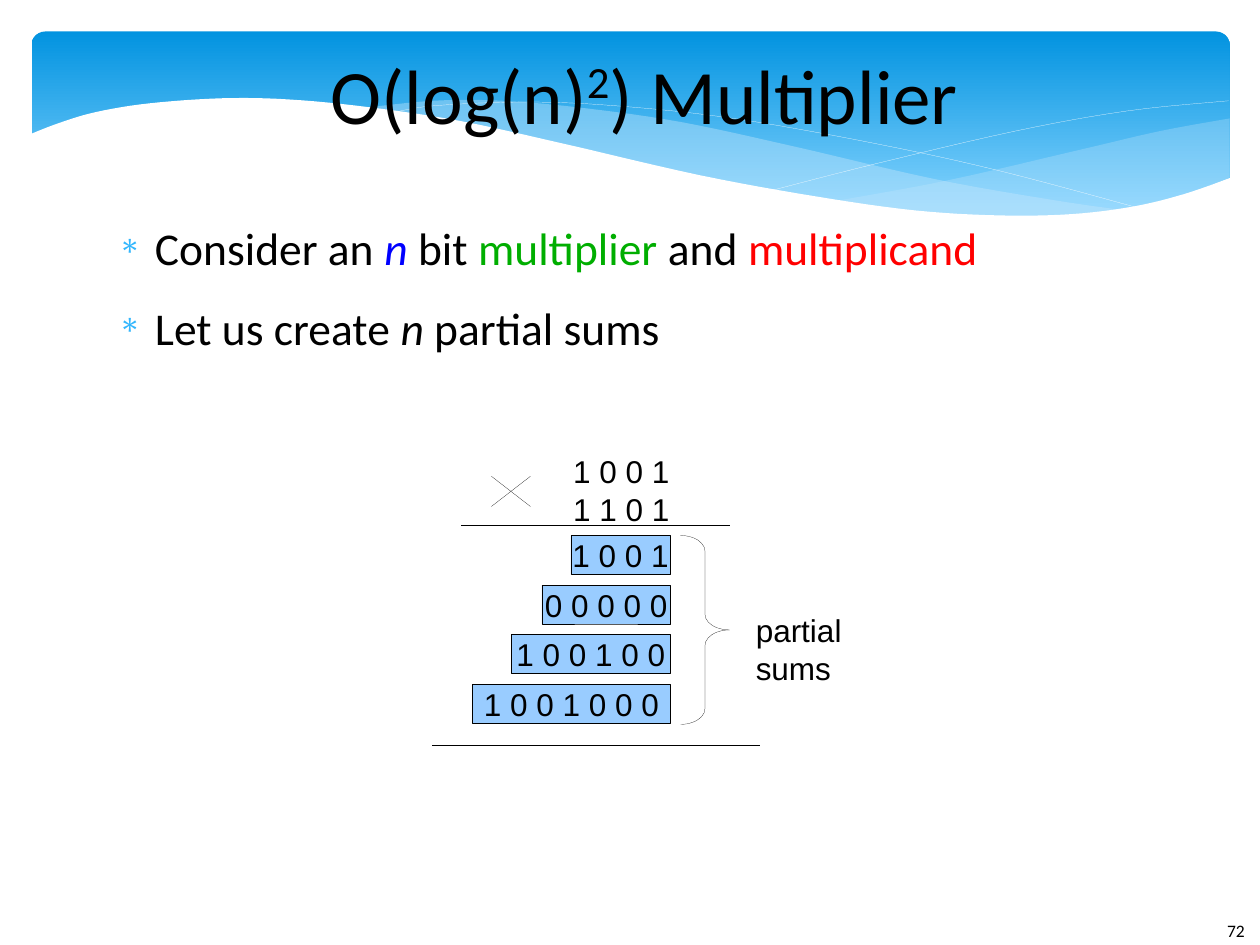
"""Build the O(log(n)²) Multiplier slide with its partial-sum diagram."""
from lxml import etree
from pptx import Presentation
from pptx.dml.color import RGBColor
from pptx.enum.shapes import MSO_CONNECTOR, MSO_SHAPE
from pptx.enum.text import MSO_ANCHOR, PP_ALIGN
from pptx.oxml.ns import qn
from pptx.util import Inches, Pt

STRAIGHT = MSO_CONNECTOR.STRAIGHT
MIDDLE = MSO_ANCHOR.MIDDLE
CENTER = PP_ALIGN.CENTER
HAIRLINE = Pt(0.1)
COLORS = {
    "black": "000000", "white": "FFFFFF", "banner_top": "0293E0",
    "banner_bottom": "83D3FE", "wave": "C6E7FC", "bullet": "31B6FD",
    "blue": "0000FF", "green": "00AE00", "red": "FF0000", "sum": "99CCFF",
}
RGB = {name: RGBColor.from_string(value) for name, value in COLORS.items()}


def smooth(knots, steps=6):
    """Return points on a Catmull-Rom curve through the knots."""
    ends = [knots[0], *knots, knots[-1]]
    points = [knots[0]]
    for a, b, c, d in zip(ends, ends[1:], ends[2:], ends[3:]):
        for step in range(1, steps + 1):
            t = step / steps
            points.append(tuple(
                (2 * q + (r - p) * t + (2 * p - 5 * q + 4 * r - s) * t**2
                 + (3 * q - p - 3 * r + s) * t**3) / 2
                for p, q, r, s in zip(a, b, c, d)))
    return points


def add_text(left, top, width, height, lines, font_name, size):
    """Add a text box with one black paragraph per line and return its frame."""
    frame = slide.shapes.add_textbox(
        Inches(left), Inches(top), Inches(width), Inches(height)).text_frame
    frame.word_wrap = True
    frame.text = "\n".join(lines)
    for paragraph in frame.paragraphs:
        paragraph.font.name = font_name
        paragraph.font.size = Pt(size)
        paragraph.font.color.rgb = RGB["black"]
    return frame


prs = Presentation()
prs.slide_width, prs.slide_height = Inches(10), Inches(7.5)
slide = prs.slides.add_slide(prs.slide_layouts[5])

banner = slide.shapes.add_shape(
    MSO_SHAPE.ROUNDED_RECTANGLE, Inches(0.25), Inches(0.25), Inches(9.51), Inches(1.56))
banner.adjustments[0] = 0.07
banner.shadow.inherit = False
banner.line.fill.background()
banner.fill.gradient()
banner.fill.gradient_angle = 270
for stop, position, color in zip(
        banner.fill.gradient_stops, (0, 0.9), ("banner_top", "banner_bottom")):
    stop.position = position
    stop.color.rgb = RGB[color]

right_wave = smooth([(9.76, 0.94), (9.21, 1.04), (8.61, 1.18), (7.53, 1.43), (6.61, 1.6)])
right_wave += smooth([(6.61, 1.6), (7.19, 1.67), (7.69, 1.71), (8.14, 1.72), (8.63, 1.7),
                      (9.05, 1.63), (9.42, 1.54), (9.76, 1.41)])
middle_wave = smooth([(8.93, 1.67), (8.37, 1.59), (7.41, 1.42), (6.29, 1.16), (5.41, 0.97),
                      (4.65, 0.86), (3.99, 0.8), (3.44, 0.8), (2.86, 0.86)])
middle_wave += smooth([(2.86, 0.86), (3.62, 0.97), (4.49, 1.16), (5.66, 1.43), (6.5, 1.58),
                       (7.22, 1.68), (7.85, 1.72), (8.38, 1.72), (8.93, 1.67)])
falling_line = smooth([(3.09, 0.9), (3.44, 0.84), (4.16, 0.81), (4.89, 0.84), (5.82, 0.94),
                       (6.95, 1.14), (7.95, 1.36), (9.07, 1.66)])
rising_line = smooth([(6.13, 1.51), (6.95, 1.3), (8.06, 1.04), (8.95, 0.88), (9.75, 0.8)])
lower_edge = smooth([(9.77, 1.41), (9.4, 1.54), (8.99, 1.64), (8.5, 1.7), (7.93, 1.71),
                     (7.26, 1.67), (6.48, 1.56), (5.55, 1.39), (4.47, 1.14), (3.65, 0.96),
                     (2.92, 0.85), (2.3, 0.79), (1.77, 0.78), (1.19, 0.82), (0.76, 0.89),
                     (0.46, 0.98), (0.23, 1.07)]) + [(0.23, 2.24), (9.77, 2.24)]

for outline, color, opacity in (
        (right_wave, "wave", 29), (middle_wave, "wave", 40), (falling_line, None, 100),
        (rising_line, None, 100), (lower_edge, "white", 100)):
    points = [(Inches(x), Inches(y)) for x, y in outline]
    builder = slide.shapes.build_freeform(*points[0])
    builder.add_line_segments(points[1:], close=color is not None)
    wave = builder.convert_to_shape()
    wave.shadow.inherit = False
    if color is None:
        wave.fill.background()
        wave.line.color.rgb = RGB["white"]
        wave.line.width = HAIRLINE
        continue
    wave.fill.solid()
    wave.fill.fore_color.rgb = RGB[color]
    wave.line.fill.background()
    if opacity < 100:
        fill_color = wave._element.spPr.find(".//" + qn("a:srgbClr"))
        etree.SubElement(fill_color, qn("a:alpha")).set("val", str(opacity * 1000))

add_text(9.64, 7.25, 0.61, 0.4, ["72"], "Calibri", 10)

title = slide.shapes.title
slide.shapes._spTree.append(title._element)
title.left, title.top, title.width, title.height = (
    Inches(1.06), Inches(0.23), Inches(8.11), Inches(1.02))
heading = title.text_frame
heading.margin_left = heading.margin_right = heading.margin_top = heading.margin_bottom = 0
heading.vertical_anchor = MIDDLE
heading_line = heading.paragraphs[0]
heading_line.alignment = CENTER
heading_line.font.name = "Calibri"
heading_line.font.size = Pt(44)
heading_line.font.color.rgb = RGB["black"]
for text in ("O(log(n)", "2", ") Multiplier"):
    run = heading_line.add_run()
    run.text = text
    if text == "2":
        run._r.get_or_add_rPr().set("baseline", "33000")

points_frame = add_text(0.75, 1.75, 8.66, 1.72, ["", ""], "Calibri", 26)
points_frame.margin_left = points_frame.margin_right = 0
points_frame.margin_top = points_frame.margin_bottom = 0
statements = (
    (("Consider an ", "black", False), ("n ", "blue", True), ("bit ", "black", False),
     ("multiplier", "green", False), (" and ", "black", False),
     ("multiplicand", "red", False)),
    (("Let us create ", "black", False), ("n", "black", True),
     (" partial sums", "black", False)),
)
for paragraph, statement in zip(points_frame.paragraphs, statements):
    paragraph.space_after = Pt(14.1)
    properties = paragraph._p.get_or_add_pPr()
    properties.set("marL", str(Inches(0.48)))
    properties.set("indent", str(Inches(-0.29)))
    bullet_color = etree.Element(qn("a:buClr"))
    etree.SubElement(bullet_color, qn("a:srgbClr")).set("val", COLORS["bullet"])
    bullet_size = etree.Element(qn("a:buSzPct"))
    bullet_size.set("val", "70000")
    bullet = etree.Element(qn("a:buChar"))
    bullet.set("char", "∗")
    default_font = properties.find(qn("a:defRPr"))
    for part in (bullet_color, bullet_size, bullet):
        default_font.addprevious(part)
    for text, color, italic in statement:
        run = paragraph.add_run()
        run.text = text
        run.font.color.rgb = RGB[color]
        if italic:
            run.font.italic = True

add_text(4.45, 3.54, 1.2, 0.66, ["1 0 0 1", "1 1 0 1"], "Arial", 18)

for x1, y1, x2, y2 in ((3.66, 4.17, 5.79, 4.17), (3.9, 3.78, 4.21, 4.02),
                       (4.21, 3.78, 3.9, 4.02), (3.43, 5.91, 6.03, 5.91)):
    rule = slide.shapes.add_connector(STRAIGHT, Inches(x1), Inches(y1), Inches(x2), Inches(y2))
    rule.line.color.rgb = RGB["black"]
    rule.line.width = HAIRLINE
    etree.SubElement(rule._element.spPr, qn("a:effectLst"))

SUM_RIGHT, SUM_TOP, SUM_PITCH = 5.32, 4.25, 0.393
for row, (digits, width) in enumerate((("1 0 0 1", 0.79), ("0 0 0 0 0", 1.02),
                                       ("1 0 0 1 0 0", 1.26), ("1 0 0 1 0 0 0", 1.57))):
    partial_sum = slide.shapes.add_shape(
        MSO_SHAPE.RECTANGLE, Inches(SUM_RIGHT - width), Inches(SUM_TOP + row * SUM_PITCH),
        Inches(width), Inches(0.31))
    partial_sum.shadow.inherit = False
    partial_sum.fill.solid()
    partial_sum.fill.fore_color.rgb = RGB["sum"]
    partial_sum.line.color.rgb = RGB["black"]
    partial_sum.line.width = HAIRLINE
    partial_sum.text_frame.word_wrap = False
    partial_sum.text_frame.vertical_anchor = MIDDLE
    partial_sum.text_frame.text = digits
    digit_line = partial_sum.text_frame.paragraphs[0]
    digit_line.alignment = CENTER
    digit_line.font.name = "Arial"
    digit_line.font.size = Pt(18)
    digit_line.font.color.rgb = RGB["black"]

brace = slide.shapes.add_shape(
    MSO_SHAPE.RIGHT_BRACE, Inches(5.4), Inches(SUM_TOP), Inches(0.39), Inches(1.5))
brace.adjustments[0] = 0.32
brace.shadow.inherit = False
brace.fill.background()
brace.line.color.rgb = RGB["black"]
brace.line.width = HAIRLINE

add_text(5.9, 4.8, 1.5, 0.66, ["partial sums"], "Arial", 18)

prs.save("out.pptx")
